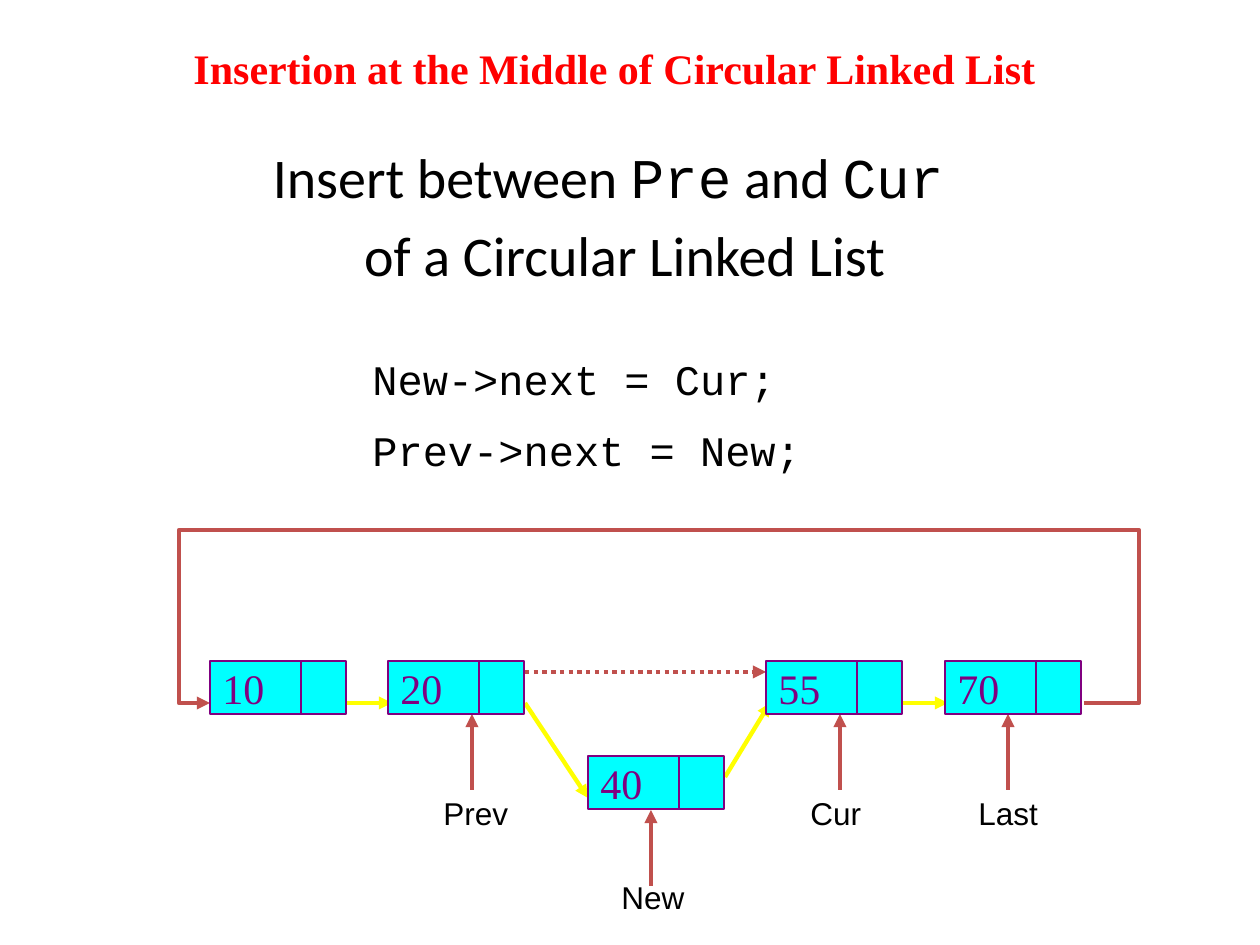
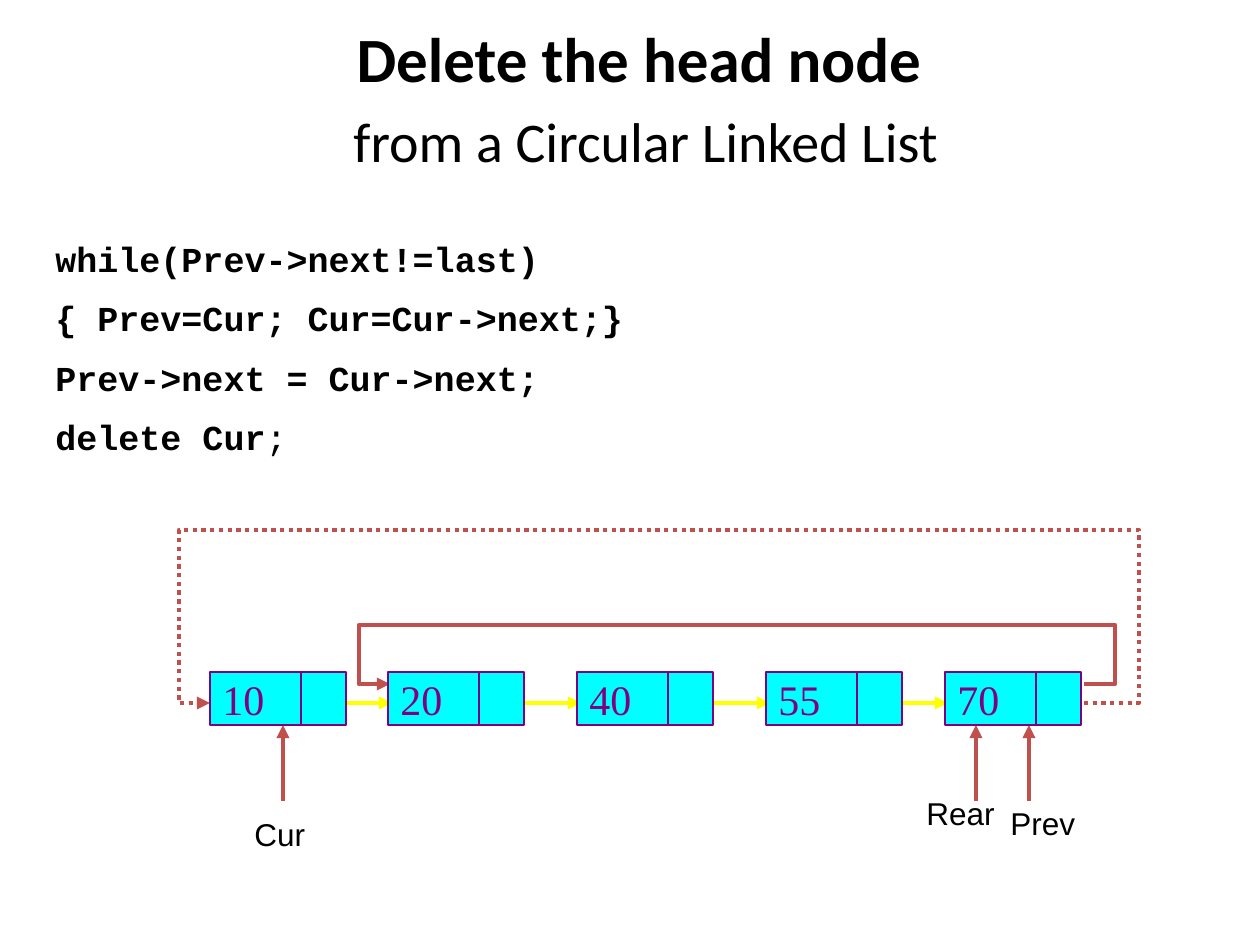
from lxml.etree import SubElement
from pptx import Presentation
from pptx.dml.color import RGBColor
from pptx.enum.dml import MSO_LINE
from pptx.enum.shapes import MSO_CONNECTOR, MSO_SHAPE
from pptx.enum.text import MSO_ANCHOR as Anchor, MSO_AUTO_SIZE as AutoSize, PP_ALIGN as Align
from pptx.oxml.ns import qn
from pptx.util import Emu, Pt

PX = 914400 / 126
COLORS = {
    "text": "000000",
    "title": "FF0000",
    "node": "00FFFF",
    "edge": "800080",
    "next": "FFFF00",
    "pointer": "C0504D",
}
SANS, SERIF, CODE, LABEL = "Calibri", "Times New Roman", "Courier New", "Arial"
VALUE_WIDTH, LINK_WIDTH, NODE_HEIGHT = 91, 45, 53
POINTER_LENGTH, LABEL_HEIGHT = 76, 50
LINK_Y = 703


def px(*lengths):
    """Turn px lengths into EMU."""
    return [Emu(round(length * PX)) for length in lengths]


def color(name):
    """Look up a named colour."""
    return RGBColor.from_string(COLORS[name])


class ListDeck:
    """Draws linked-list slides in one style."""

    def __init__(self):
        """Start a deck of 10 by 7.5 inches."""
        self.deck = Presentation()
        self.deck.slide_width, self.deck.slide_height = px(1260, 945)
        self.page = None

    def new_page(self):
        """Add a page with a title and a body."""
        self.page = self.deck.slides.add_slide(self.deck.slide_layouts[1])

    def place(self, shape, area):
        """Move and size a shape."""
        shape.left, shape.top, shape.width, shape.height = px(*area)

    def add_span(self, para, text, size, font, bold=False, ink="text"):
        """Add one formatted run."""
        span = para.add_run()
        span.text = text
        span.font.size, span.font.name, span.font.bold = Pt(size), font, bold
        span.font.color.rgb = color(ink)

    def next_para(self, frame, index):
        """Return the first paragraph, or a new one."""
        return frame.add_paragraph() if index else frame.paragraphs[0]

    def title(self, text, area):
        """Fill the title, or remove it when there is no text."""
        shape = self.page.shapes.title
        if not text:
            shape.element.getparent().remove(shape.element)
            return
        self.place(shape, area)
        frame = shape.text_frame
        frame.vertical_anchor, frame.margin_top = Anchor.TOP, 0
        para = frame.paragraphs[0]
        para.alignment = Align.CENTER
        self.add_span(para, text, 24, SERIF, True, "title")

    def body(self, lines, area):
        """Fill the body with centred lines of runs."""
        shape = self.page.placeholders[1]
        self.place(shape, area)
        for index, spans in enumerate(lines):
            para = self.next_para(shape.text_frame, index)
            para.alignment = Align.CENTER
            properties = para._p.get_or_add_pPr()
            properties.set("marL", "0")
            properties.set("indent", "0")
            SubElement(properties, qn("a:buNone"))
            for span in spans:
                self.add_span(para, *span)

    def text(self, lines, area, spacing):
        """Add a text box; spacing is a percentage of the line."""
        box = self.page.shapes.add_textbox(*px(*area))
        frame = box.text_frame
        frame.word_wrap, frame.auto_size = True, AutoSize.SHAPE_TO_FIT_TEXT
        for index, spans in enumerate(lines):
            para = self.next_para(frame, index)
            before = SubElement(para._p.get_or_add_pPr(), qn("a:spcBef"))
            SubElement(before, qn("a:spcPct")).set("val", str(spacing * 1000))
            for span in spans:
                self.add_span(para, *span)

    def style_arrow(self, line, ink, dotted):
        """Set colour, dash and arrowhead of a line."""
        line.color.rgb, line.width = color(ink), Pt(2.5)
        if dotted:
            line.dash_style = MSO_LINE.ROUND_DOT
        SubElement(line._get_or_add_ln(), qn("a:tailEnd")).set("type", "triangle")

    def arrow(self, start, end, ink="pointer", dotted=False):
        """Add a straight arrow."""
        link = self.page.shapes.add_connector(MSO_CONNECTOR.STRAIGHT, *px(*start, *end))
        self.style_arrow(link.line, ink, dotted)
        SubElement(link._element.spPr, qn("a:effectLst"))

    def loop(self, start, end, right, top, left, dotted=False):
        """Add an arrow that runs back over the nodes."""
        builder = self.page.shapes.build_freeform(*start, scale=PX)
        corners = [(right, start[1]), (right, top), (left, top), (left, end[1]), end]
        builder.add_line_segments(corners, close=False)
        shape = builder.convert_to_shape()
        shape.shadow.inherit = False
        shape.fill.background()
        self.style_arrow(shape.line, "pointer", dotted)

    def next_links(self, starts):
        """Add level arrows between neighbouring nodes."""
        for x in starts:
            self.arrow((x, LINK_Y), (x + 56, LINK_Y), "next")

    def pointer(self, name, x, tip, label_area):
        """Add an upward arrow and its label."""
        self.arrow((x, tip + POINTER_LENGTH), (x, tip))
        self.text([[(name, 18, LABEL)]], (*label_area, LABEL_HEIGHT), 20)

    def node(self, value, x, y):
        """Add a grouped node of a value cell and a link cell."""
        group = self.page.shapes.add_group_shape()
        cells = [(value, x, VALUE_WIDTH), ("", x + VALUE_WIDTH, LINK_WIDTH)]
        for text, left, width in cells:
            cell = group.shapes.add_shape(
                MSO_SHAPE.RECTANGLE, *px(left, y, width, NODE_HEIGHT))
            cell.shadow.inherit = False
            cell.fill.solid()
            cell.fill.fore_color.rgb = color("node")
            cell.line.color.rgb, cell.line.width = color("edge"), Pt(1)
            if text:
                frame = cell.text_frame
                frame.vertical_anchor = Anchor.MIDDLE
                frame.paragraphs[0].alignment = Align.LEFT
                self.add_span(frame.paragraphs[0], text, 24, SERIF, ink="edge")


def insertion_page(deck):
    """Insert a node between two others."""
    deck.new_page()
    deck.title("Insertion at the Middle of Circular Linked List", (21, 42, 1187, 94))
    deck.body([
        [("Insert between ", 32, SANS), ("Pre", 32, CODE),
         (" and ", 32, SANS), ("Cur ", 32, CODE)],
        [("of a Circular Linked List", 32, SANS)],
    ], (42, 136, 1166, 703))
    code = ["New->next = Cur;", "Prev->next = New;"]
    deck.text([[(line, 24, CODE)] for line in code], (360, 347, 630, 139), 50)
    deck.next_links([336, 892])
    deck.arrow((525, LINK_Y), (588, 798), "next")
    deck.arrow((725, 777), (770, LINK_Y), "next")
    deck.arrow((525, 672), (766, 672), dotted=True)
    deck.loop((1084, LINK_Y), (210, LINK_Y), 1139, 530, 179)
    for name, x, tip, area in [
        ("Prev", 472, 714, (431, 788, 93)),
        ("New", 651, 810, (609, 872, 91)),
        ("Cur", 840, 714, (798, 788, 158)),
        ("Last", 1008, 714, (966, 788, 158)),
    ]:
        deck.pointer(name, x, tip, area)
    for value, x, y in [("10", 210, 661), ("20", 388, 661), ("40", 588, 756),
                        ("55", 766, 661), ("70", 945, 661)]:
        deck.node(value, x, y)


def deletion_page(deck):
    """Delete the head node."""
    deck.new_page()
    deck.title(None, None)
    deck.body([
        [("Delete the head node ", 36, SANS, True)],
        [("from a Circular Linked List", 32, SANS)],
    ], (79, 13, 1134, 787))
    code = ["while(Prev->next!=last)", "{ Prev=Cur; Cur=Cur->next;}",
            "Prev->next = Cur->next;", "delete Cur"]
    lines = [[(line, 20, CODE, True)] for line in code]
    lines[-1].append((";", 20, CODE))
    deck.text(lines, (43, 231, 1187, 246), 50)
    deck.next_links([336, 525, 714, 892])
    deck.loop((1084, LINK_Y), (210, LINK_Y), 1139, 530, 179, dotted=True)
    deck.loop((1084, 684), (390, 684), 1115, 625, 359)
    for name, x, area in [
        ("Cur", 283, (242, 809, 79)),
        ("Rear", 976, (914, 788, 96)),
        ("Prev", 1029, (998, 798, 158)),
    ]:
        deck.pointer(name, x, 725, area)
    for value, x in [("10", 210), ("20", 388), ("40", 577), ("55", 766), ("70", 945)]:
        deck.node(value, x, 672)


def main():
    """Build and save the deck."""
    deck = ListDeck()
    insertion_page(deck)
    deletion_page(deck)
    deck.deck.save("out.pptx")


if __name__ == "__main__":
    main()
